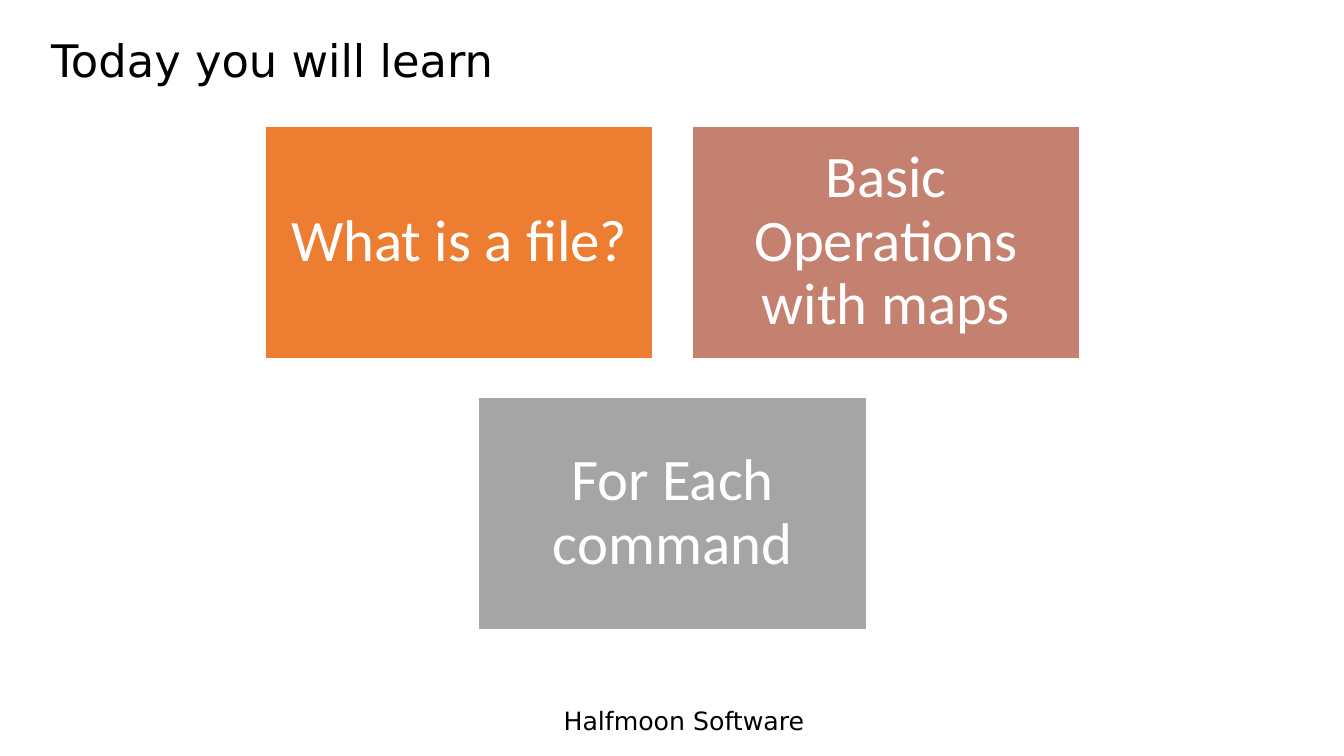
import pptx
import pptx.util
import pptx.dml.color
import pptx.enum.shapes
import pptx.enum.text

Pt = pptx.util.Pt
ALIGN = pptx.enum.text.PP_ALIGN
ANCHOR = pptx.enum.text.MSO_ANCHOR

TOPICS = [
    ("What is a file?", "ED7D31"),
    ("Basic Operations with maps", "C48170"),
    ("For Each command", "A5A5A5"),
]


def rgb(value):
    return pptx.dml.color.RGBColor.from_string(value)


def write(tf, text, font, size, color, align=ALIGN.LEFT, spacing=0.9):
    tf.word_wrap = True
    p = tf.paragraphs[0]
    p.alignment = align
    p.line_spacing = spacing
    r = p.add_run()
    r.text = text
    r.font.name = font
    r.font.size = Pt(size)
    r.font.color.rgb = rgb(color)


def add_title(s, x, y, w, h, text):
    tf = s.shapes.add_textbox(Pt(x), Pt(y), Pt(w), Pt(h)).text_frame
    tf.vertical_anchor = ANCHOR.MIDDLE
    write(tf, text, "DejaVu Sans", 32, "000000")


def add_footer(s, x, y, w, h, text):
    tf = s.shapes.add_textbox(Pt(x), Pt(y), Pt(w), Pt(h)).text_frame
    write(tf, text, "DejaVu Sans", 18, "000000", spacing=1.0)


def add_card(s, x, y, w, h, text, color):
    sp = s.shapes.add_shape(
        pptx.enum.shapes.MSO_SHAPE.RECTANGLE, Pt(x), Pt(y), Pt(w), Pt(h))
    sp.shadow.inherit = False
    sp.fill.solid()
    sp.fill.fore_color.rgb = rgb(color)
    sp.line.color.rgb = rgb("FFFFFF")
    sp.line.width = Pt(1)
    tf = sp.text_frame
    tf.margin_left = tf.margin_right = tf.margin_top = tf.margin_bottom = Pt(12)
    tf.vertical_anchor = ANCHOR.MIDDLE
    write(tf, text, "Calibri", 42, "FFFFFF", ALIGN.CENTER)


def add_topics(s, x, y, w, h, topics, columns=2):
    card_w = w / (columns + 0.1 * (columns - 1))
    card_h = 0.6 * card_w
    gap = 0.1 * card_w
    for start in range(0, len(topics), columns):
        row = topics[start:start + columns]
        row_w = len(row) * (card_w + gap) - gap
        left = x + (w - row_w) / 2
        top = y + start // columns * (h - card_h)
        for i, (text, color) in enumerate(row):
            add_card(s, left + i * (card_w + gap), top, card_w, card_h, text, color)


def main():
    prs = pptx.Presentation()
    prs.slide_width = Pt(960)
    prs.slide_height = Pt(540)
    s = prs.slides.add_slide(prs.slide_layouts[6])
    add_footer(s, 395.5, 500.5, 209, 29, "Halfmoon Software")
    add_title(s, 29.5, 10.8, 865, 68.4, "Today you will learn")
    add_topics(s, 189.4, 90, 582, 360, TOPICS)
    prs.save("out.pptx")


if __name__ == "__main__":
    main()
